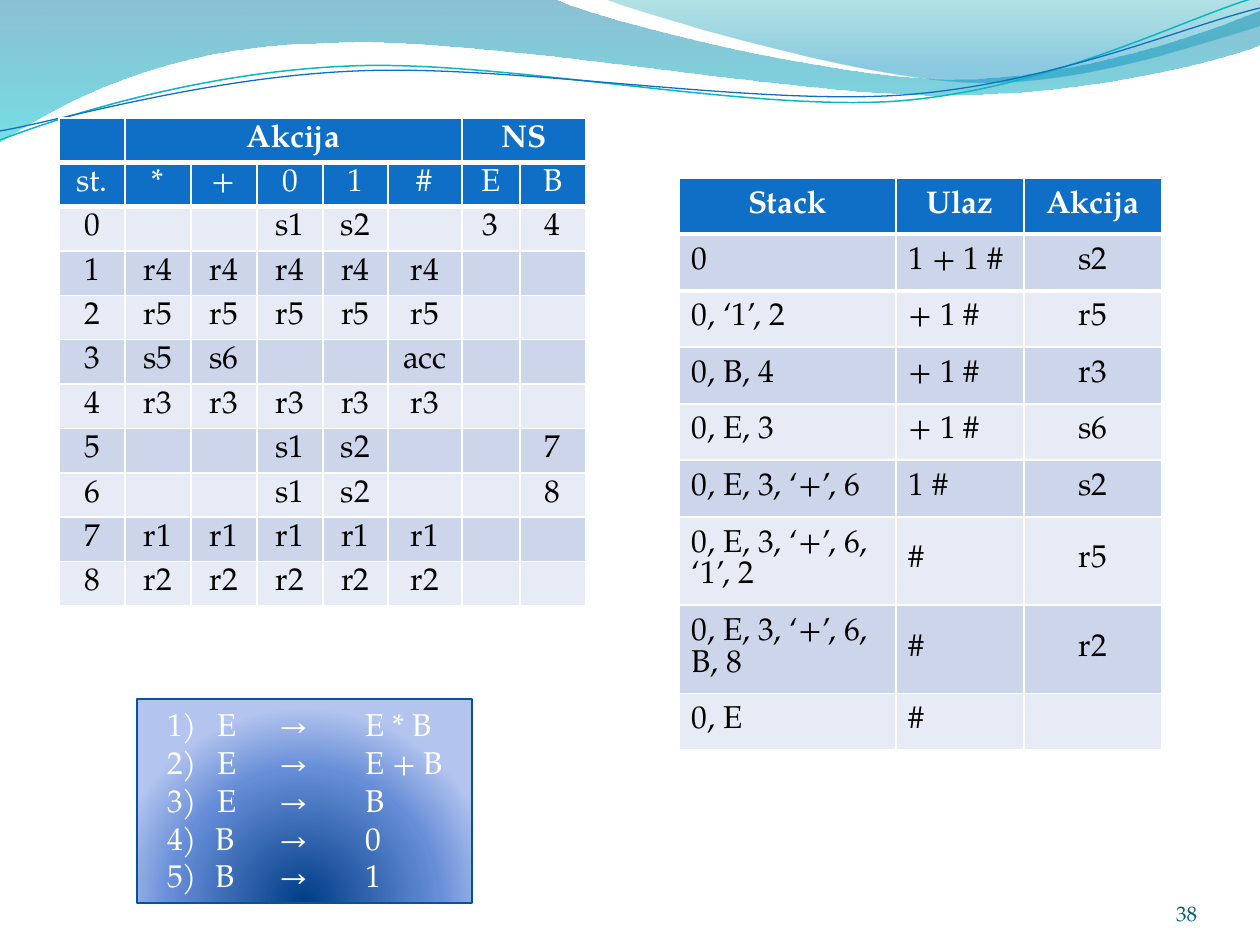
import pptx
import pptx.dml.color
import pptx.enum.shapes
import pptx.enum.text
import pptx.oxml.ns
import pptx.util
from lxml import etree

RGBColor = pptx.dml.color.RGBColor
Align = pptx.enum.text.PP_ALIGN
Anchor = pptx.enum.text.MSO_ANCHOR
qn = pptx.oxml.ns.qn

PX = 914400 / 126
FONT = "TeX Gyre Pagella"
WHITE = RGBColor(0xFF, 0xFF, 0xFF)
BLACK = RGBColor(0x00, 0x00, 0x00)
BLUE = RGBColor(0x0F, 0x6F, 0xC6)
TEAL = RGBColor(0x0A, 0xB8, 0xBF)
BOX_EDGE = RGBColor(0x09, 0x52, 0x95)
NUMBER_COLOR = RGBColor(0x04, 0x5D, 0x75)
BANDS = [RGBColor(0xE7, 0xEB, 0xF5), RGBColor(0xCC, 0xD5, 0xEA)]
SKY = [(0, RGBColor(0x00, 0x74, 0xA1), 45), (100, RGBColor(0x00, 0xC6, 0xCF), 55)]
SEA = [(0, RGBColor(0x00, 0xA1, 0xA9), 30), (80, RGBColor(0x00, 0x8B, 0xBF), 45)]
GLOW = [(0, RGBColor(0x00, 0x3D, 0x87), 100), (68, RGBColor(0x66, 0x8D, 0xD7), 100),
        (100, RGBColor(0xB3, 0xC4, 0xEF), 100)]


def fill_gradient(shape, stops, radial=False):
    """Fill from top to bottom, or in circles around a point below the shape."""
    shape.fill.gradient()
    gradient = shape.element.spPr.find(qn("a:gradFill"))
    gradient.clear()
    stop_list = etree.SubElement(gradient, qn("a:gsLst"))
    for position, color, opacity in stops:
        stop = etree.SubElement(stop_list, qn("a:gs"), pos=str(position * 1000))
        tint = etree.SubElement(stop, qn("a:srgbClr"), val=str(color))
        if opacity < 100:
            etree.SubElement(tint, qn("a:alpha"), val=str(opacity * 1000))
    if radial:
        circle = etree.SubElement(gradient, qn("a:path"), path="circle")
        etree.SubElement(circle, qn("a:fillToRect"), l="50000", t="130000", r="50000", b="-30000")
    else:
        etree.SubElement(gradient, qn("a:lin"), ang="5400000", scaled="1")


def add_grid(left, top, widths, heights, rows, header_rows, left_columns=()):
    """Add a banded table; left_columns are left-aligned below the header."""
    table = slide.shapes.add_table(
        len(rows), len(widths), round(left * PX), round(top * PX),
        round(sum(widths) * PX), round(sum(heights) * PX)).table
    table.horz_banding = False
    for column, width in zip(table.columns, widths):
        column.width = round(width * PX)
    for r, (texts, height) in enumerate(zip(rows, heights)):
        table.rows[r].height = round(height * PX)
        is_header = r < header_rows
        for c, text in enumerate(texts):
            cell = table.cell(r, c)
            cell.vertical_anchor = Anchor.MIDDLE
            cell.fill.solid()
            cell.fill.fore_color.rgb = BLUE if is_header else BANDS[r % 2]
            if r < 2:
                rule = etree.Element(qn("a:lnT" if r else "a:lnB"), w="38100")
                paint = etree.SubElement(rule, qn("a:solidFill"))
                etree.SubElement(paint, qn("a:srgbClr"), val=str(WHITE))
                cell._tc.get_or_add_tcPr().insert(0, rule)
            paragraph = cell.text_frame.paragraphs[0]
            if c not in left_columns or is_header:
                paragraph.alignment = Align.CENTER
            if text:
                run = paragraph.add_run()
                run.text = text
                run.font.name = FONT
                run.font.size = pptx.util.Pt(18)
                run.font.bold = r == 0
                run.font.color.rgb = WHITE if is_header else BLACK
            else:
                end = etree.SubElement(paragraph._p, qn("a:endParaRPr"), sz="1800")
                etree.SubElement(end, qn("a:latin"), typeface=FONT)
    return table


presentation = pptx.Presentation()
presentation.slide_width = round(1260 * PX)
presentation.slide_height = round(945 * PX)
slide = presentation.slides.add_slide(presentation.slide_layouts[6])

# Header waves: a segment holds one point for a line, three for a Bézier curve
bands = [
    (SKY, (0, 0), [
        [(554, -1)], [(600, 21), (837, 79), (955, 79)], [(1075, 79), (1207, 33), (1260, 11)],
        [(1261, 45)], [(1239, 55), (1096, 96), (940, 95)], [(783, 95), (481, 35), (324, 43)],
        [(163, 45), (58, 105), (-1, 142)], [(0, 0)]]),
    (SEA, (604, -1), [
        [(641, 14), (859, 78), (969, 82)], [(1079, 87), (1211, 40), (1260, 26)],
        [(1260, 0)], [(604, -1)]]),
]
lines = [
    ((TEAL, 0.85), (0, 140), [
        [(60, 117), (199, 72), (349, 66)], [(498, 59), (747, 112), (898, 101)],
        [(1050, 89), (1182, 19), (1257, -3)]]),
    ((BLUE, 0.75), (0, 131), [
        [(59, 121), (207, 77), (357, 71)], [(508, 64), (752, 106), (903, 95)],
        [(1053, 84), (1185, 26), (1260, 8)]]),
]
for style, start, segments in bands + lines:
    is_band = isinstance(style, list)
    builder = slide.shapes.build_freeform(*start, scale=PX)
    builder.add_line_segments([segment[-1] for segment in segments], close=is_band)
    wave = builder.convert_to_shape()
    wave.shadow.inherit = False
    left, top = min(x for x, y in [start] + [s[-1] for s in segments]), min(
        y for x, y in [start] + [s[-1] for s in segments])
    outline = wave.element.spPr.find(".//" + qn("a:path"))
    for line, segment in zip(outline.findall(qn("a:lnTo")), segments):
        if len(segment) == 3:
            curve = etree.Element(qn("a:cubicBezTo"))
            for x, y in segment:
                etree.SubElement(curve, qn("a:pt"), x=str(x - left), y=str(y - top))
            outline.replace(line, curve)
    if is_band:
        fill_gradient(wave, style)
        wave.line.fill.background()
    else:
        wave.fill.background()
        wave.line.color.rgb = style[0]
        wave.line.width = pptx.util.Pt(style[1])

# Parsing table
parsing_rows = [
    ["", "Akcija", "", "", "", "", "NS", ""],
    ["st.", "*", "+", "0", "1", "#", "E", "B"],
    ["0", "", "", "s1", "s2", "", "3", "4"],
    ["1"] + ["r4"] * 5 + ["", ""],
    ["2"] + ["r5"] * 5 + ["", ""],
    ["3", "s5", "s6", "", "", "acc", "", ""],
    ["4"] + ["r3"] * 5 + ["", ""],
    ["5", "", "", "s1", "s2", "", "", "7"],
    ["6", "", "", "s1", "s2", "", "", "8"],
    ["7"] + ["r1"] * 5 + ["", ""],
    ["8"] + ["r2"] * 5 + ["", ""],
]
parsing_table = add_grid(59, 118, [66] * 4 + [65, 74, 58, 66], [44] * 11, parsing_rows, 2)
parsing_table.cell(0, 1).merge(parsing_table.cell(0, 5))
parsing_table.cell(0, 6).merge(parsing_table.cell(0, 7))

# Slide number
number_box = slide.shapes.add_textbox(*[round(v * PX) for v in (1092, 876, 105, 50)])
frame = number_box.text_frame
frame.word_wrap = True
frame.vertical_anchor = Anchor.BOTTOM
frame.margin_left = frame.margin_right = frame.margin_top = frame.margin_bottom = 0
frame.paragraphs[0].alignment = Align.RIGHT
run = frame.paragraphs[0].add_run()
run.text = "38"
run.font.name = FONT
run.font.size = pptx.util.Pt(12)
run.font.color.rgb = NUMBER_COLOR

# Grammar box
grammar = slide.shapes.add_shape(pptx.enum.shapes.MSO_SHAPE.RECTANGLE,
                                 *[round(v * PX) for v in (137, 699, 335, 204)])
fill_gradient(grammar, GLOW, radial=True)
grammar.line.color.rgb = BOX_EDGE
grammar.line.width = pptx.util.Pt(0.75)
grammar.shadow.inherit = False
frame = grammar.text_frame
frame.word_wrap = False
frame.vertical_anchor = Anchor.TOP
frame.margin_left = round(30 * PX)
rules = [["1) \tE\t→\tE * B", "2) \tE\t→ \tE + B", "3) \tE\t→ \tB"], ["B\t→\t0"], ["B\t→\t1"]]
for i, rule_lines in enumerate(rules):
    paragraph = frame.add_paragraph() if i else frame.paragraphs[0]
    paragraph.alignment = Align.LEFT
    properties = paragraph._p.get_or_add_pPr()
    if i:
        properties.set("marL", str(round(48 * PX)))
        properties.set("indent", str(round(-48 * PX)))
        etree.SubElement(properties, qn("a:buAutoNum"), type="arabicParenR", startAt="4")
    tabs = etree.SubElement(properties, qn("a:tabLst"))
    for tab in (50, 112, 198):
        etree.SubElement(tabs, qn("a:tab"), pos=str(round(tab * PX)), algn="l")
    for j, text in enumerate(rule_lines):
        if j:
            paragraph.add_line_break()
        run = paragraph.add_run()
        run.text = text
        run.font.name = FONT
        run.font.size = pptx.util.Pt(18)
        run.font.color.rgb = WHITE

# Trace of the parse
trace_rows = [
    ["Stack", "Ulaz", "Akcija"],
    ["0", "1 + 1 #", "s2"],
    ["0, ‘1’, 2", "+ 1 #", "r5"],
    ["0, B, 4", "+ 1 #", "r3"],
    ["0, E, 3", "+ 1 #", "s6"],
    ["0, E, 3, ‘+’, 6", "1 #", "s2"],
    ["0, E, 3, ‘+’, 6, ‘1’, 2", "#", "r5"],
    ["0, E, 3, ‘+’, 6, B, 8", "#", "r2"],
    ["0, E", "#", ""],
]
trace_heights = [56, 57, 56, 57, 56, 57, 88, 88, 56]
add_grid(679, 178, [217, 128, 138], trace_heights, trace_rows, 1, left_columns=(0, 1))

presentation.save("out.pptx")
